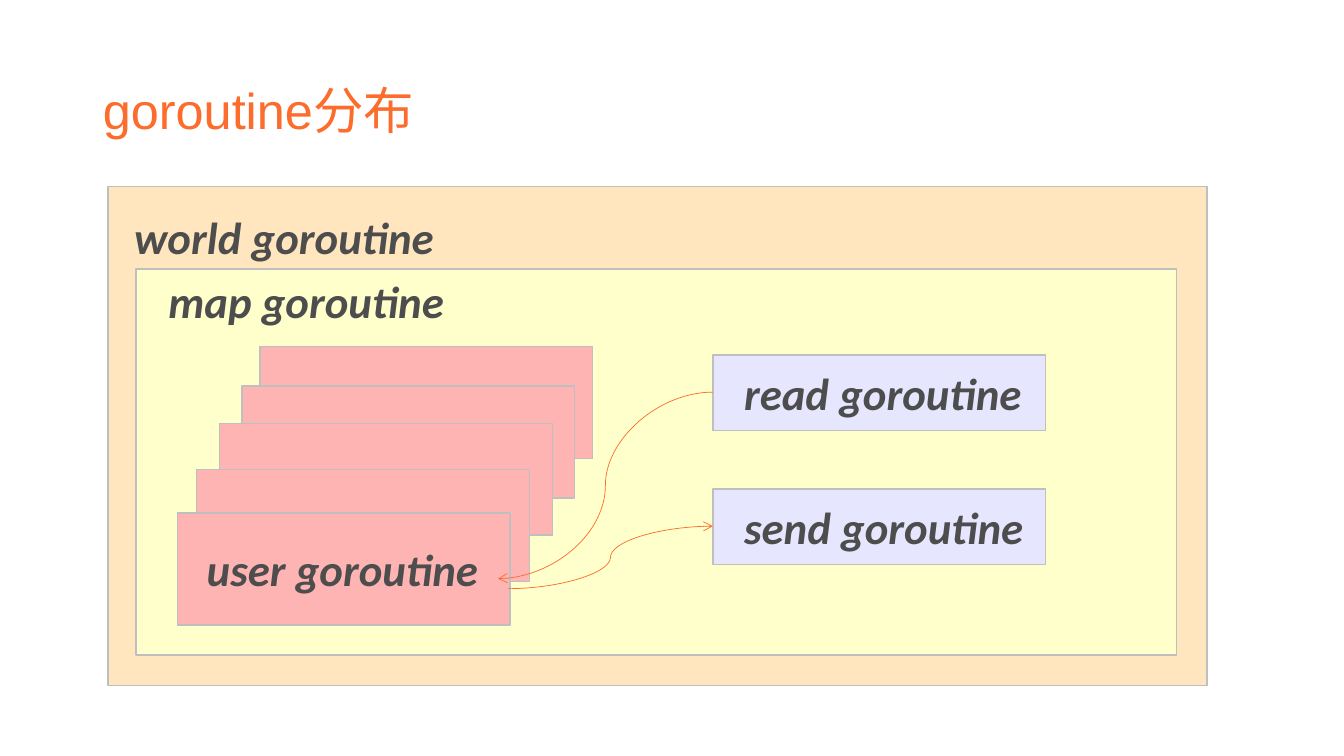
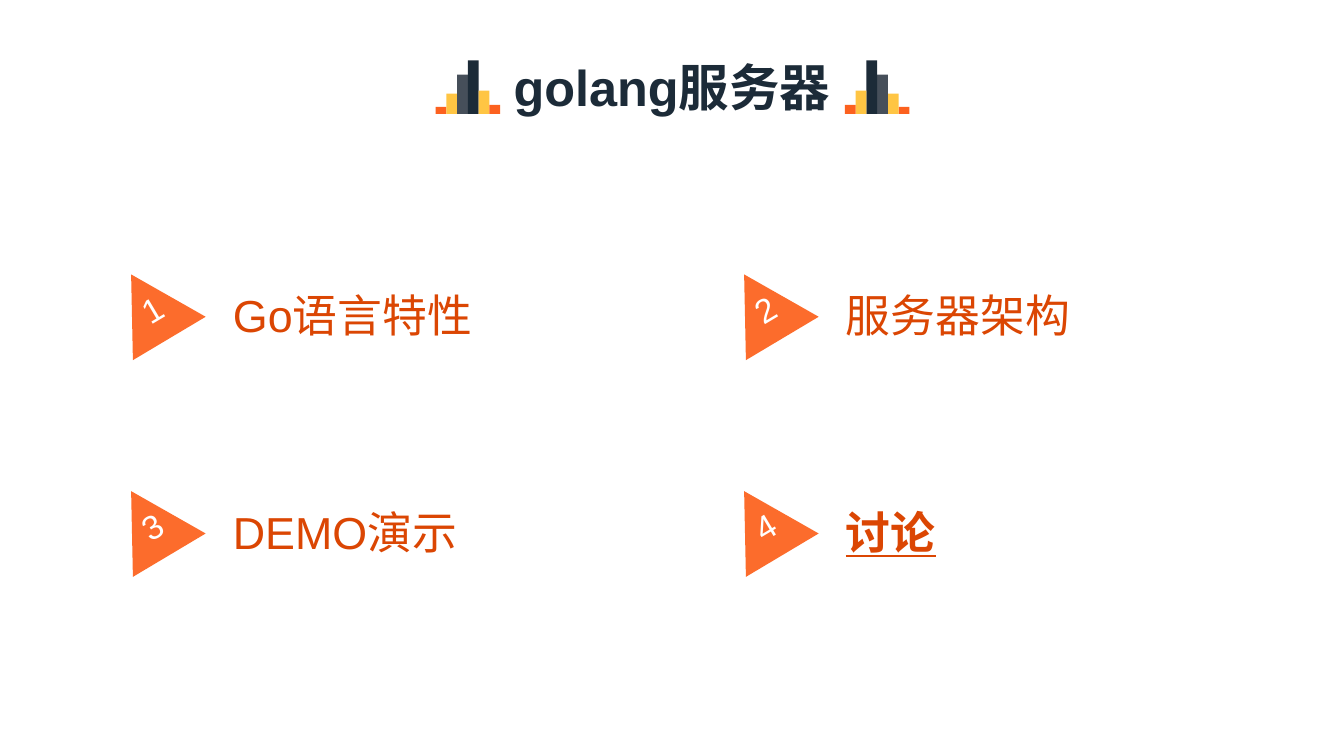
import pptx
import pptx.util
import pptx.dml.color
import pptx.enum.text
import pptx.enum.shapes
from lxml import etree
from pptx.util import Inches
from pptx.oxml.ns import qn

ALIGN = pptx.enum.text.PP_ALIGN
ANCHOR = pptx.enum.text.MSO_ANCHOR
SHAPE = pptx.enum.shapes.MSO_SHAPE
CURVE = pptx.enum.shapes.MSO_CONNECTOR.CURVE
TITLE_ONLY = 5

ORANGE, DEEP_ORANGE, NAVY = "FC6C2C", "DB4603", "1C2B38"
BORDER, LABEL = "BFBFBF", "4D4D4D"
SAND, CREAM, PINK, LAVENDER = "FFE6BE", "FFFFCC", "FFB4B4", "E6E6FF"
BAR_ORANGE, BAR_YELLOW, BAR_GREY = "FC611F", "FFC543", "464F5A"

# Slide 1: left, top, width, height, fill, label, label inset (left, top)
GOROUTINE_SIZE = (3.3, 1.11)
STACK = [(2.58, 3.44), (2.4, 3.83), (2.18, 4.2), (1.95, 4.66)]
BOXES = [
    (1.07, 1.85, 10.9, 4.95, SAND, "world goroutine", (0.26, 0.23)),
    (1.35, 2.67, 10.32, 3.83, CREAM, "map goroutine", (0.32, 0.05)),
    *[(*corner, *GOROUTINE_SIZE, PINK, "", None) for corner in STACK],
    (1.76, 5.09, *GOROUTINE_SIZE, PINK, "user goroutine", (0.29, None)),
    (7.07, 3.52, 3.3, 0.75, LAVENDER, "read goroutine", (0.31, None)),
    (7.07, 4.85, 3.3, 0.75, LAVENDER, "send goroutine", (0.31, None)),
]
ARROWS = [((7.07, 3.89), (4.94, 5.74)), ((5.04, 5.84), (7.07, 5.22))]

# Slide 2: agenda entries, the current one is emphasised
AGENDA = ["Go语言特性", "服务器架构", "DEMO演示", "讨论"]
CURRENT = "讨论"
AGENDA_LEFT, AGENDA_TOP = 1.07, 2.67
COLUMN_STEP, ROW_STEP = 6.08, 2.15
MARKER_W, MARKER_H, MARKER_TURN = 0.84, 0.74, 329.2

SKYLINE = [(0.07, BAR_ORANGE), (0.2, BAR_YELLOW), (0.39, BAR_GREY),
           (0.53, NAVY), (0.23, BAR_YELLOW), (0.09, BAR_ORANGE)]
SKYLINE_LEFT, SKYLINE_RIGHT, SKYLINE_BASE = 4.32, 9.02, 1.13
BAR_W = 0.64 / len(SKYLINE)


def rgb(color):
    return pptx.dml.color.RGBColor.from_string(color)


def write(shape, text, size, color, font="Arial", bold=False, italic=False,
          underline=False, align=ALIGN.LEFT, anchor=ANCHOR.MIDDLE,
          insets=(0, 0, 0, 0), spacing=None):
    """Fill a shape with one formatted paragraph; insets are left, top, right, bottom."""
    frame = shape.text_frame
    frame.word_wrap = True
    frame.auto_size = pptx.enum.text.MSO_AUTO_SIZE.NONE
    frame.vertical_anchor = anchor
    (frame.margin_left, frame.margin_top,
     frame.margin_right, frame.margin_bottom) = map(Inches, insets)
    paragraph = frame.paragraphs[0]
    paragraph.alignment = align
    paragraph.line_spacing = spacing
    run = paragraph.add_run()
    run.text = text
    run.font.name, run.font.size = font, pptx.util.Pt(size)
    run.font.bold, run.font.italic, run.font.underline = bold, italic, underline
    run.font.color.rgb = rgb(color)


def paint(shape, fill, border=None):
    shape.shadow.inherit = False
    shape.fill.solid()
    shape.fill.fore_color.rgb = rgb(fill)
    if border:
        shape.line.color.rgb = rgb(border)
        shape.line.width = pptx.util.Pt(1)
    else:
        shape.line.fill.background()


def add_box(slide, left, top, width, height, fill, border=None):
    box = slide.shapes.add_shape(SHAPE.RECTANGLE, *map(Inches, (left, top, width, height)))
    paint(box, fill, border)
    return box


def add_titled_slide(deck, text, place, **text_format):
    slide = deck.slides.add_slide(deck.slide_layouts[TITLE_ONLY])
    title = slide.shapes.title
    title.left, title.top, title.width, title.height = map(Inches, place)
    write(title, text, 36, insets=(0.1, 0.05, 0.1, 0.05), **text_format)
    return slide


def add_curved_arrow(slide, start, end):
    arrow = slide.shapes.add_connector(CURVE, *map(Inches, (*start, *end)))
    arrow.line.color.rgb = rgb(ORANGE)
    arrow.line.width = pptx.util.Pt(0.5)
    etree.SubElement(arrow.line._get_or_add_ln(), qn("a:tailEnd"), type="arrow")
    etree.SubElement(arrow._element.spPr, qn("a:effectLst"))


def add_marker(slide, left, top, number):
    """Draw a numbered triangle pointing right."""
    builder = slide.shapes.build_freeform(
        Inches(left + MARKER_W / 2), Inches(top))
    builder.add_line_segments([
        (Inches(left + MARKER_W), Inches(top + MARKER_H)),
        (Inches(left), Inches(top + MARKER_H))])
    marker = builder.convert_to_shape()
    marker.rotation = MARKER_TURN
    paint(marker, ORANGE)
    write(marker, str(number), 24, "FFFFFF", align=ALIGN.CENTER, insets=(0, 0.06, 0, 0))


def add_skylines(slide):
    """Draw the bar ornament on the left of the title and its mirror on the right."""
    for i, (height, color) in enumerate(SKYLINE):
        for left in (SKYLINE_LEFT + i * BAR_W, SKYLINE_RIGHT - (i + 1) * BAR_W):
            add_box(slide, left, SKYLINE_BASE - height, BAR_W, height, color)


def build_distribution(deck):
    slide = add_titled_slide(deck, "goroutine分布", (0.92, 0.4, 11.5, 1.45),
                             color=ORANGE, spacing=0.9)
    for *place, fill, label, inset in BOXES:
        box = add_box(slide, *place, fill, BORDER)
        if label:
            inset_left, inset_top = inset
            write(box, label, 32, LABEL, font="Calibri", bold=True, italic=True,
                  anchor=ANCHOR.MIDDLE if inset_top is None else ANCHOR.TOP,
                  insets=(inset_left, inset_top or 0, 0, 0))
    for start, end in ARROWS:
        add_curved_arrow(slide, start, end)


def build_agenda(deck):
    slide = add_titled_slide(deck, "golang服务器", (4.96, 0.32, 3.41, 1.08),
                             color=NAVY, bold=True, align=ALIGN.CENTER, spacing=1.0)
    add_skylines(slide)
    for i, topic in enumerate(AGENDA):
        row, column = divmod(i, 2)
        left = AGENDA_LEFT + column * COLUMN_STEP
        top = AGENDA_TOP + row * ROW_STEP
        entry = slide.shapes.add_textbox(
            *map(Inches, (left + 1.24, top + 0.03, 3.88, 0.85)))
        write(entry, topic, 32, DEEP_ORANGE,
              bold=topic == CURRENT, underline=topic == CURRENT)
        add_marker(slide, left, top, i + 1)


def main():
    deck = pptx.Presentation()
    deck.slide_width, deck.slide_height = Inches(13.33), Inches(7.5)
    build_distribution(deck)
    build_agenda(deck)
    deck.save("out.pptx")


if __name__ == "__main__":
    main()
